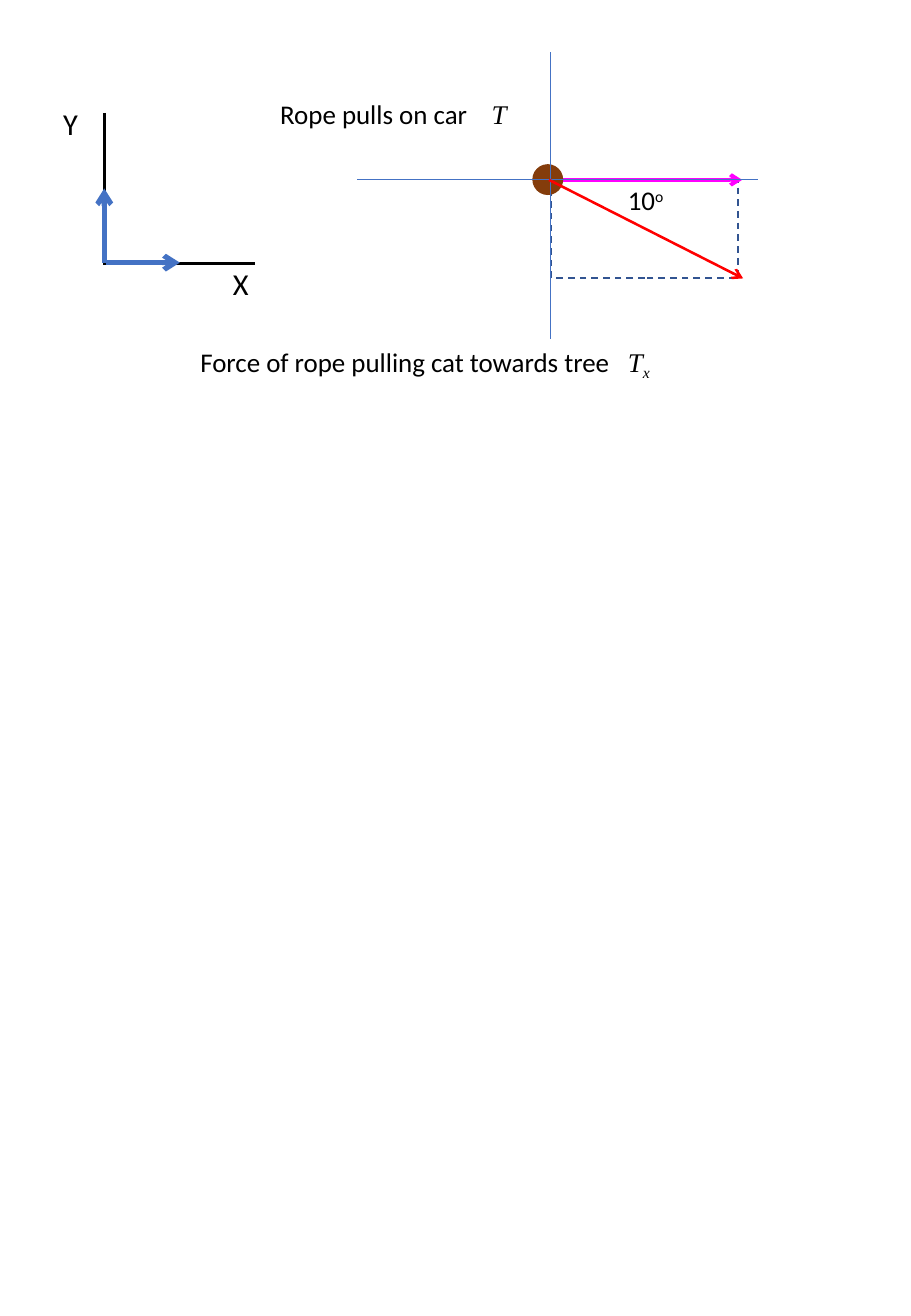
from lxml import etree
from pptx import Presentation
from pptx.dml.color import RGBColor
from pptx.enum.dml import MSO_LINE
from pptx.enum.shapes import MSO_CONNECTOR, MSO_SHAPE
from pptx.enum.text import MSO_AUTO_SIZE
from pptx.oxml.ns import qn
from pptx.util import Cm, Pt

STRAIGHT = MSO_CONNECTOR.STRAIGHT
RECTANGLE = MSO_SHAPE.RECTANGLE
OVAL = MSO_SHAPE.OVAL
DASH = MSO_LINE.DASH
FIT_SHAPE = MSO_AUTO_SIZE.SHAPE_TO_FIT_TEXT
BLANK_LAYOUT = 6

BLACK, BLUE, NAVY = "000000", "4472C4", "325491"
MAGENTA, RED, BROWN = "FF00FF", "FF0000", "843C0B"
SANS, SERIF = "Calibri", "Times New Roman"
LEVEL = 3.76


def colour(hex_string):
    """Turn a hex string into a colour."""
    return RGBColor.from_string(hex_string)


def add_line(shapes, start, end, hex_string, width, arrow=False):
    """Draw a straight line, with an arrowhead at its end if asked."""
    points = [Cm(value) for value in (*start, *end)]
    connector = shapes.add_connector(STRAIGHT, *points)
    connector.line.color.rgb = colour(hex_string)
    connector.line.width = Pt(width)
    if arrow:
        outline = connector.line._get_or_add_ln()
        etree.SubElement(outline, qn("a:tailEnd"), type="arrow")
    etree.SubElement(connector._element.spPr, qn("a:effectLst"))


def add_figure(shapes, kind, area, line, fill=None):
    """Draw a preset shape with a thin outline, filled or hollow."""
    figure = shapes.add_shape(kind, *[Cm(value) for value in area])
    figure.shadow.inherit = False
    if fill:
        figure.fill.solid()
        figure.fill.fore_color.rgb = colour(fill)
    else:
        figure.fill.background()
    figure.line.color.rgb = colour(line)
    figure.line.width = Pt(1)
    return figure


def add_label(shapes, area, size, text, tab=None):
    """Add a one-line label and return its paragraph."""
    box = shapes.add_textbox(*[Cm(value) for value in area])
    frame = box.text_frame
    frame.word_wrap = tab is not None
    frame.auto_size = FIT_SHAPE
    para = frame.paragraphs[0]
    if tab:
        stops = etree.SubElement(para._p.get_or_add_pPr(), qn("a:tabLst"))
        etree.SubElement(stops, qn("a:tab"), pos=str(Cm(tab)), algn="l")
    para.font.size = Pt(size)
    para.font.color.rgb = colour(BLACK)
    add_span(para, text, SANS)
    return para


def add_span(para, text, font, italic=None, baseline=None):
    """Add a run, raised or lowered by a percentage if asked."""
    span = para.add_run()
    span.text = text
    span.font.name = font
    span.font.italic = italic
    if baseline:
        span._r.get_or_add_rPr().set("baseline", str(baseline * 1000))


def add_axes(shapes):
    """Draw the X and Y axes with their unit arrows as a group."""
    axes = shapes.add_group_shape().shapes
    add_line(axes, (2.18, 2.36), (2.18, 5.54), BLACK, 1.5)
    add_line(axes, (2.16, 5.51), (5.33, 5.51), BLACK, 1.5)
    add_line(axes, (2.21, 5.49), (3.76, 5.49), BLUE, 3, arrow=True)
    add_line(axes, (2.18, 5.49), (2.18, 3.94), BLUE, 3, arrow=True)
    add_label(axes, (1.07, 2.08, 0.81, 1.02), 18, "Y")
    add_label(axes, (4.62, 5.41, 0.84, 1.02), 18, "X")


def add_forces(shapes):
    """Draw the rope force and its horizontal component."""
    components = add_figure(shapes, RECTANGLE, (11.53, LEVEL, 3.91, 2.06), NAVY)
    components.line.dash_style = DASH
    add_line(shapes, (11.18, LEVEL), (15.52, LEVEL), MAGENTA, 2.25, arrow=True)
    angle = add_label(shapes, (12.88, 3.71, 1.3, 0.94), 16, "10")
    add_span(angle, "o", SANS, baseline=30)
    add_figure(shapes, OVAL, (11.15, 3.45, 0.61, 0.61), BROWN, BROWN)
    add_line(shapes, (7.47, LEVEL), (15.85, LEVEL), BLUE, 0.5)
    add_line(shapes, (11.51, 1.09), (11.51, 7.09), BLUE, 0.5)
    add_line(shapes, (11.48, LEVEL), (15.54, 5.82), RED, 1.5, arrow=True)


def add_captions(shapes):
    """Name the two forces, each with its symbol at a tab stop."""
    rope = add_label(shapes, (5.61, 1.91, 5.44, 0.94), 16,
                     "Rope pulls on car\t", tab=4.42)
    add_span(rope, "T", SERIF, italic=True)
    pull = add_label(shapes, (3.94, 7.09, 10.08, 0.94), 16,
                     "Force of rope pulling cat towards tree\t", tab=8.94)
    add_span(pull, "T", SERIF, italic=True)
    add_span(pull, "x", SERIF, italic=True, baseline=-25)


def main():
    """Build the force diagram and save it."""
    deck = Presentation()
    deck.slide_width = Cm(19.05)
    deck.slide_height = Cm(27.51)
    page = deck.slides.add_slide(deck.slide_layouts[BLANK_LAYOUT])
    add_axes(page.shapes)
    add_forces(page.shapes)
    add_captions(page.shapes)
    deck.save("out.pptx")


if __name__ == "__main__":
    main()
